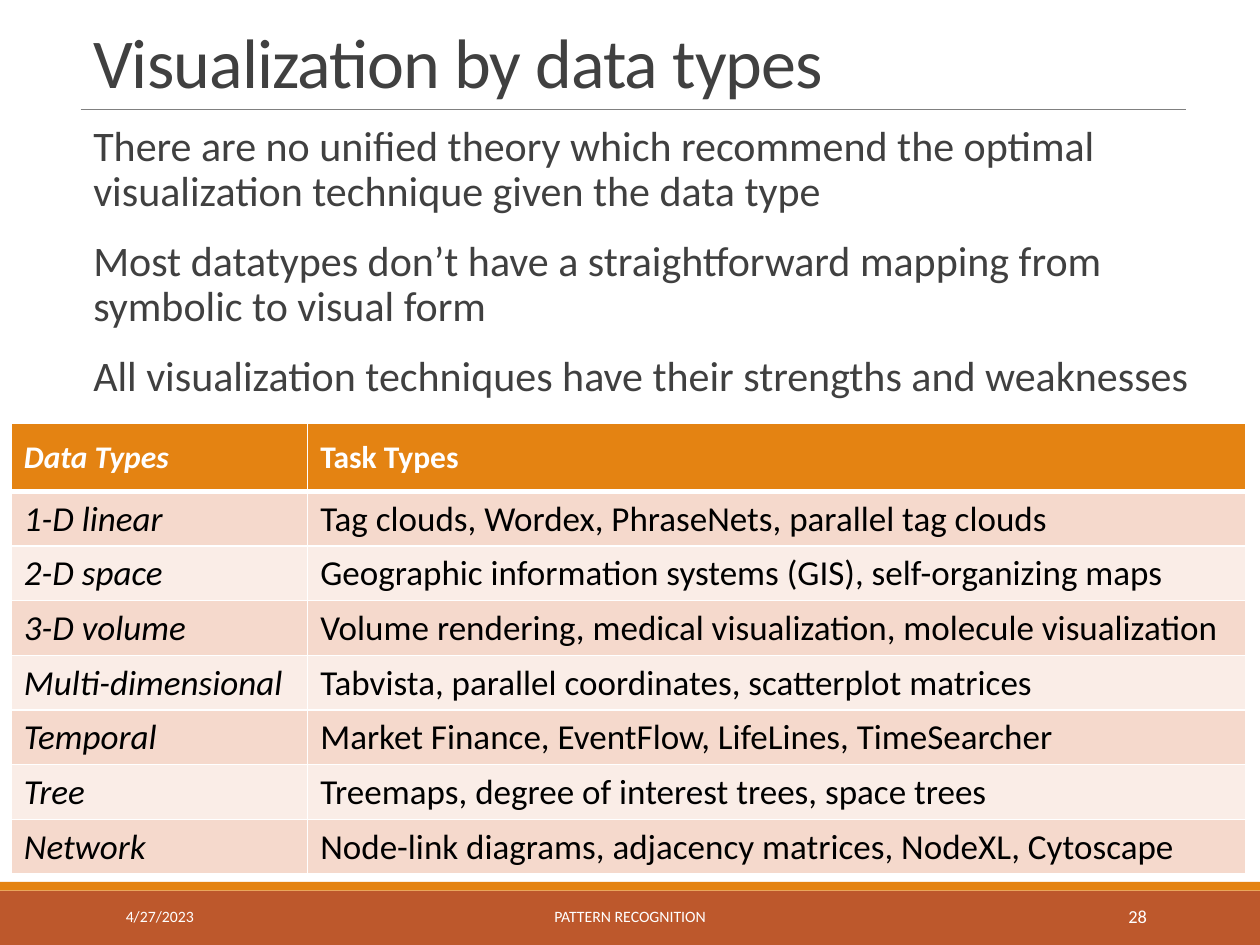
from lxml.etree import SubElement
from pptx import Presentation
from pptx.dml.color import RGBColor
from pptx.enum.shapes import MSO_CONNECTOR as Connector, MSO_SHAPE as Shape
from pptx.enum.text import MSO_ANCHOR as Anchor, MSO_AUTO_SIZE as AutoSize, PP_ALIGN as Align
from pptx.oxml.ns import qn
from pptx.util import Inches, Pt

WIDTH, HEIGHT = 10, 7.5
FONT = "Calibri"
ORANGE, RUST, WHITE, BLACK = "E48312", "BD582C", "FFFFFF", "000000"
GREY, RULE_GREY = "404040", "808080"
BANDS = ("F5D9CC", "FAEDE7")
POINTS = (
    "There are no unified theory which recommend the optimal visualization technique given the data type",
    "Most datatypes don’t have a straightforward mapping from symbolic to visual form",
    "All visualization techniques have their strengths and weaknesses",
)
TECHNIQUES = (
    ("Data Types", "Task Types"),
    ("1-D linear", "Tag clouds, Wordex, PhraseNets, parallel tag clouds"),
    ("2-D space", "Geographic information systems (GIS), self-organizing maps"),
    ("3-D volume", "Volume rendering, medical visualization, molecule visualization"),
    ("Multi-dimensional", "Tabvista, parallel coordinates, scatterplot matrices"),
    ("Temporal", "Market Finance, EventFlow, LifeLines, TimeSearcher"),
    ("Tree", "Treemaps, degree of interest trees, space trees"),
    ("Network", "Node-link diagrams, adjacency matrices, NodeXL, Cytoscape"),
)


def colour(value):
    """Turn a hex string into a colour."""
    return RGBColor.from_string(value)


def add_run(paragraph, text, size, ink, bold=False, italic=False):
    """Add one formatted run and return it."""
    run = paragraph.add_run()
    run.text = text
    font = run.font
    font.name, font.size, font.bold, font.italic = FONT, Pt(size), bold, italic
    font.color.rgb = colour(ink)
    return run


def place(shape, box):
    """Move a shape to a box of left, top, width and height."""
    shape.left, shape.top, shape.width, shape.height = map(Inches, box)


def add_band(slide, box, fill):
    """Add a plain filled bar."""
    shape = slide.shapes.add_shape(Shape.RECTANGLE, *map(Inches, box))
    shape.shadow.inherit = False
    shape.fill.solid()
    shape.fill.fore_color.rgb = colour(fill)
    shape.line.fill.background()


def add_title(slide, box, text):
    """Fill the title placeholder and rule it off below."""
    left, top, width, height = box
    title = slide.shapes.title
    place(title, box)
    frame = title.text_frame
    frame.auto_size, frame.vertical_anchor = AutoSize.NONE, Anchor.BOTTOM
    paragraph = frame.paragraphs[0]
    paragraph.alignment, paragraph.line_spacing = Align.LEFT, 0.85
    run = add_run(paragraph, text, 40, GREY)
    run.font._element.set("spc", "-50")
    base = Inches(top + height)
    rule = slide.shapes.add_connector(
        Connector.STRAIGHT, Inches(left), base, Inches(left + width), base)
    rule.line.color.rgb, rule.line.width = colour(RULE_GREY), Pt(0.5)
    SubElement(rule._element.spPr, qn("a:effectLst"))


def add_points(slide, box, points):
    """Fill the body placeholder with hanging paragraphs."""
    body = slide.placeholders[1]
    place(body, box)
    frame = body.text_frame
    frame.auto_size, frame.vertical_anchor = AutoSize.NONE, Anchor.TOP
    frame.margin_left = frame.margin_right = 0
    for index, text in enumerate(points):
        paragraph = frame.add_paragraph() if index else frame.paragraphs[0]
        properties = paragraph._p.get_or_add_pPr()
        properties.set("marL", str(Inches(0.1)))
        properties.set("indent", str(-Inches(0.1)))
        bullet_colour = SubElement(properties, qn("a:buClr"))
        SubElement(bullet_colour, qn("a:srgbClr"), val=ORANGE)
        SubElement(properties, qn("a:buChar"), char=" ")
        paragraph.line_spacing = 0.9
        paragraph.space_before = Pt(12 if index else 0)
        paragraph.space_after = Pt(2)
        add_run(paragraph, text, 24, GREY)


def add_borders(cell, bottom):
    """Draw white cell borders, with the given bottom width in points."""
    properties = cell._tc.get_or_add_tcPr()
    widths = {"lnL": 1, "lnR": 1, "lnT": 1, "lnB": bottom}
    for position, (side, width) in enumerate(widths.items()):
        line = SubElement(properties, qn(f"a:{side}"), w=str(Pt(width)))
        fill = SubElement(line, qn("a:solidFill"))
        SubElement(fill, qn("a:srgbClr"), val=WHITE)
        properties.insert(position, line)


def add_technique_table(slide, box, rows):
    """Add the banded table of data types and techniques."""
    left, top, width, height = box
    header_height = 0.54
    row_height = (height - header_height) / (len(rows) - 1)
    table = slide.shapes.add_table(len(rows), 2, *map(Inches, box)).table
    for column, share in zip(table.columns, (0.24, 0.76)):
        column.width = Inches(width * share)
    for row, texts in enumerate(rows):
        header = row == 0
        table.rows[row].height = Inches(header_height if header else row_height)
        for column, text in enumerate(texts):
            cell = table.cell(row, column)
            cell.fill.solid()
            cell.fill.fore_color.rgb = colour(ORANGE if header else BANDS[(row - 1) % 2])
            cell.vertical_anchor = Anchor.MIDDLE if header else Anchor.TOP
            add_borders(cell, 3 if header else 1)
            paragraph = cell.text_frame.paragraphs[0]
            if not header:
                paragraph.space_after = Pt(6)
            add_run(paragraph, text, 18 if header else 20,
                    WHITE if header else BLACK, header, column == 0)


def add_footer(slide, box):
    """Add the footer bars with date, course and page number."""
    left, top, width, height = box
    edge = 0.07
    add_band(slide, (left, top + edge, width, height - edge), RUST)
    add_band(slide, (left, top, width, edge), ORANGE)
    labels = (
        (0.09, 0.203, "4/27/2023", 9, Align.LEFT),
        (0.302, 0.396, "PATTERN RECOGNITION", 9, Align.CENTER),
        (0.812, 0.108, "28", 10.5, Align.RIGHT),
    )
    for start, share, text, size, alignment in labels:
        label_box = (left + width * start, top + edge, width * share, 0.4)
        frame = slide.shapes.add_textbox(*map(Inches, label_box)).text_frame
        frame.word_wrap, frame.vertical_anchor = True, Anchor.MIDDLE
        paragraph = frame.paragraphs[0]
        paragraph.alignment = alignment
        add_run(paragraph, text, size, WHITE)


def main():
    """Build and save the slide."""
    presentation = Presentation()
    presentation.slide_width, presentation.slide_height = Inches(WIDTH), Inches(HEIGHT)
    slide = presentation.slides.add_slide(presentation.slide_layouts[1])
    add_footer(slide, (0, 7, WIDTH, 0.5))
    add_title(slide, (0.64, 0.13, 8.77, 0.74), "Visualization by data types")
    add_points(slide, (0.64, 0.94, 8.96, 5.95), POINTS)
    add_technique_table(slide, (0.09, 3.36, 9.8, 3.41), TECHNIQUES)
    presentation.save("out.pptx")


if __name__ == "__main__":
    main()
